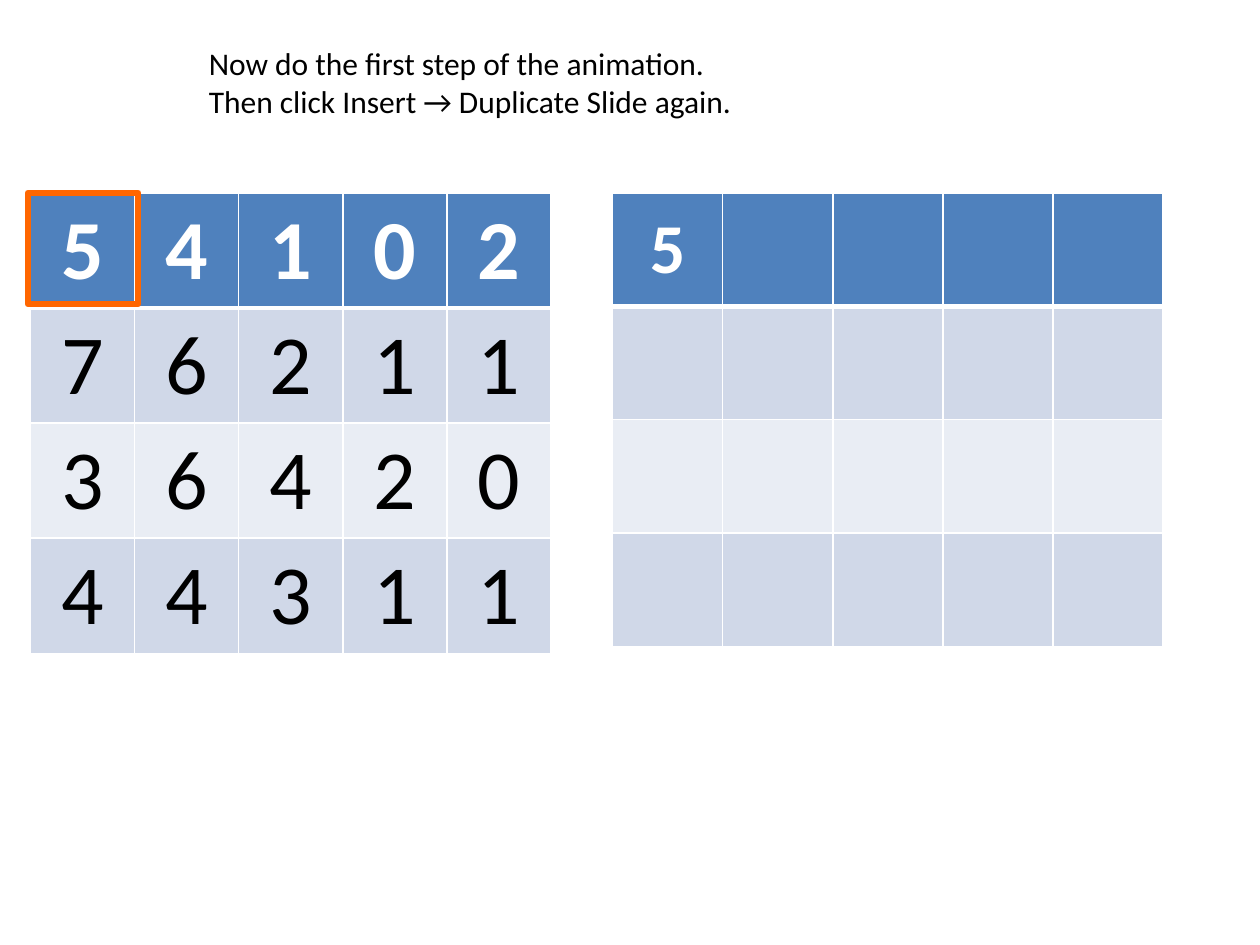
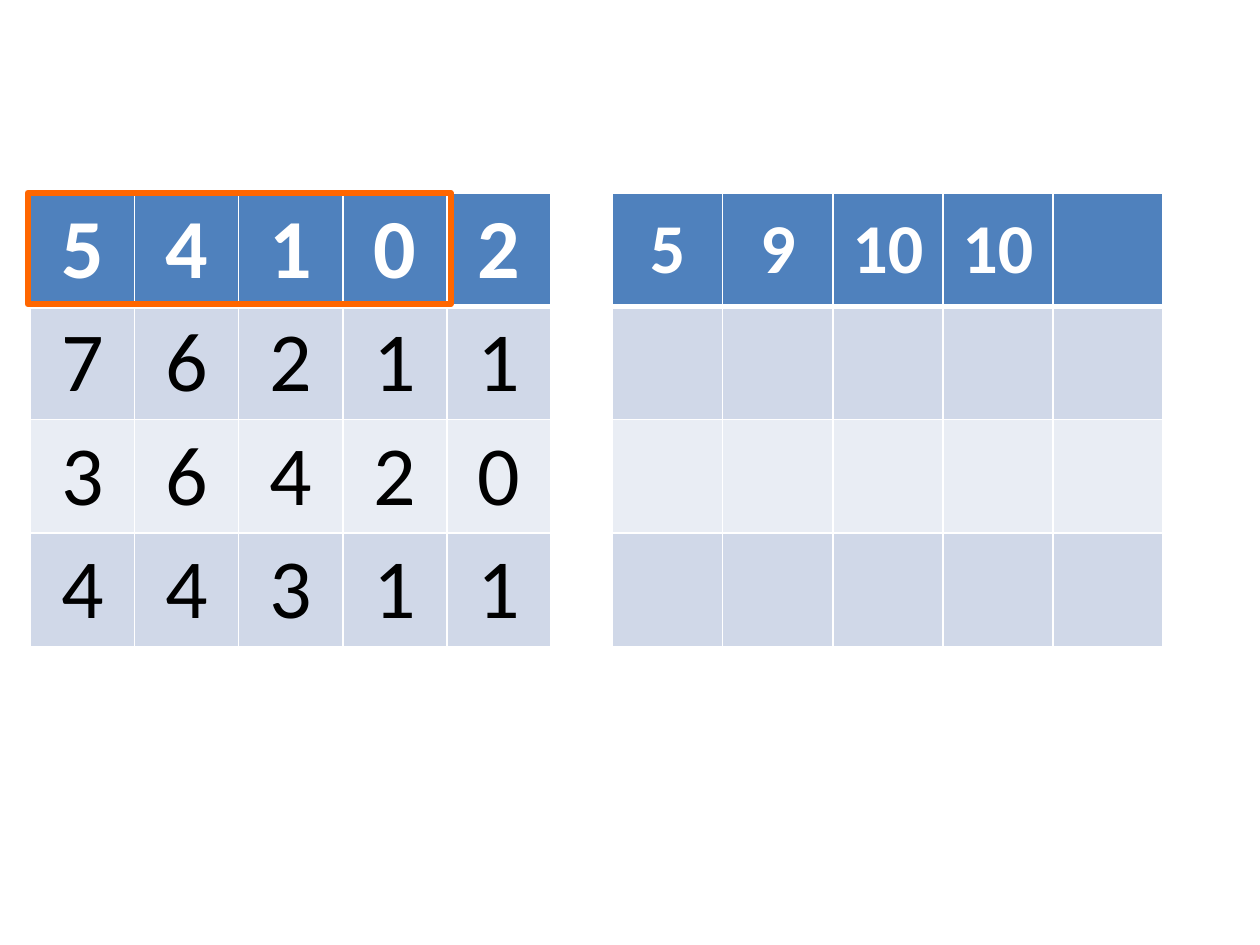
from dataclasses import dataclass

from lxml.etree import SubElement
from pptx import Presentation
from pptx.dml.color import RGBColor as Rgb
from pptx.enum.shapes import MSO_SHAPE as Shape
from pptx.enum.text import MSO_ANCHOR as Anchor
from pptx.enum.text import MSO_AUTO_SIZE as Fit
from pptx.enum.text import PP_ALIGN as Align
from pptx.oxml.ns import qn
from pptx.util import Cm, Pt


@dataclass(frozen=True)
class Theme:
    font: str = "Calibri"
    white: str = "FFFFFF"
    black: str = "000000"
    head: str = "4F81BD"
    bands: tuple = ("E9EDF4", "D0D8E8")
    mark: str = "FF6600"
    note: int = 18
    digit: int = 48
    sum: int = 40
    thin: float = 1
    thick: float = 3
    ring: float = 3.5


@dataclass(frozen=True)
class Box:
    left: float
    top: float
    width: float
    height: float

    def size(self):
        return [Cm(n) for n in (self.left, self.top, self.width, self.height)]


THEME = Theme()
TOP = 3.89
COLS, ROWS = 5, 4
SUMS = Box(12.35, TOP, 11.1, 9.14)
NOTE = Box(3.96, 0.76, 11.2, 1.8)
DIGITS = ["54102", "76211", "36420", "44311"]


def put(frame, text, size, color=THEME.black, bold=False, align=Align.LEFT):
    for at, line in enumerate(text.split("\n")):
        para = frame.add_paragraph() if at else frame.paragraphs[0]
        para.alignment = align
        run = para.add_run()
        run.text = line
        font = run.font
        font.name, font.size, font.bold = THEME.font, Pt(size), bold
        font.color.rgb = Rgb.from_string(color)


def edge(cell, side, width):
    props = cell._tc.get_or_add_tcPr()
    line = SubElement(props, qn(f"a:ln{side}"), w=str(Pt(width)))
    fill = SubElement(line, qn("a:solidFill"))
    SubElement(fill, qn("a:srgbClr"), val=THEME.white)


def style(cell, row):
    wide = {"T": row == 1, "B": row == 0}
    for side in "LRTB":
        edge(cell, side, THEME.thick if wide.get(side) else THEME.thin)
    cell.fill.solid()
    color = THEME.bands[row % 2] if row else THEME.head
    cell.fill.fore_color.rgb = Rgb.from_string(color)
    cell.vertical_anchor = Anchor.MIDDLE
    cell.margin_top = cell.margin_bottom = 0


def grid(slide, box, data, size):
    table = slide.shapes.add_table(ROWS, COLS, *box.size()).table
    for col in table.columns:
        col.width = Cm(box.width / COLS)
    for at, row in enumerate(table.rows):
        row.height = Cm(box.height / ROWS)
        for cell in row.cells:
            style(cell, at)
    for at, line in enumerate(data):
        color = THEME.black if at else THEME.white
        for col, text in enumerate(line):
            put(table.cell(at, col).text_frame, text, size,
                color=color, bold=at == 0, align=Align.CENTER)


def ring(slide, box, count):
    wide = box.width / COLS * count + 0.13
    area = Box(box.left - 0.05, box.top, wide, 2.24)
    rect = slide.shapes.add_shape(Shape.RECTANGLE, *area.size())
    rect.shadow.inherit = False
    rect.fill.background()
    rect.line.color.rgb = Rgb.from_string(THEME.mark)
    rect.line.width = Pt(THEME.ring)


def note(slide, box, text):
    frame = slide.shapes.add_textbox(*box.size()).text_frame
    frame.word_wrap = False
    frame.auto_size = Fit.SHAPE_TO_FIT_TEXT
    put(frame, text, THEME.note)


def step(deck, sums, high, text=None):
    slide = deck.slides.add_slide(deck.slide_layouts[6])
    left = Box(0.61, TOP, 10.5, high)
    grid(slide, left, DIGITS, THEME.digit)
    ring(slide, left, len(sums))
    grid(slide, SUMS, [sums], THEME.sum)
    if text:
        note(slide, NOTE, text)


def main():
    deck = Presentation()
    deck.slide_width, deck.slide_height = Cm(25.4), Cm(19.05)
    step(deck, ["5"], 9.28,
         "Now do the first step of the animation.\n"
         "Then click Insert → Duplicate Slide again.")
    step(deck, ["5", "9", "10", "10"], 9.14)
    deck.save("out.pptx")


if __name__ == "__main__":
    main()
